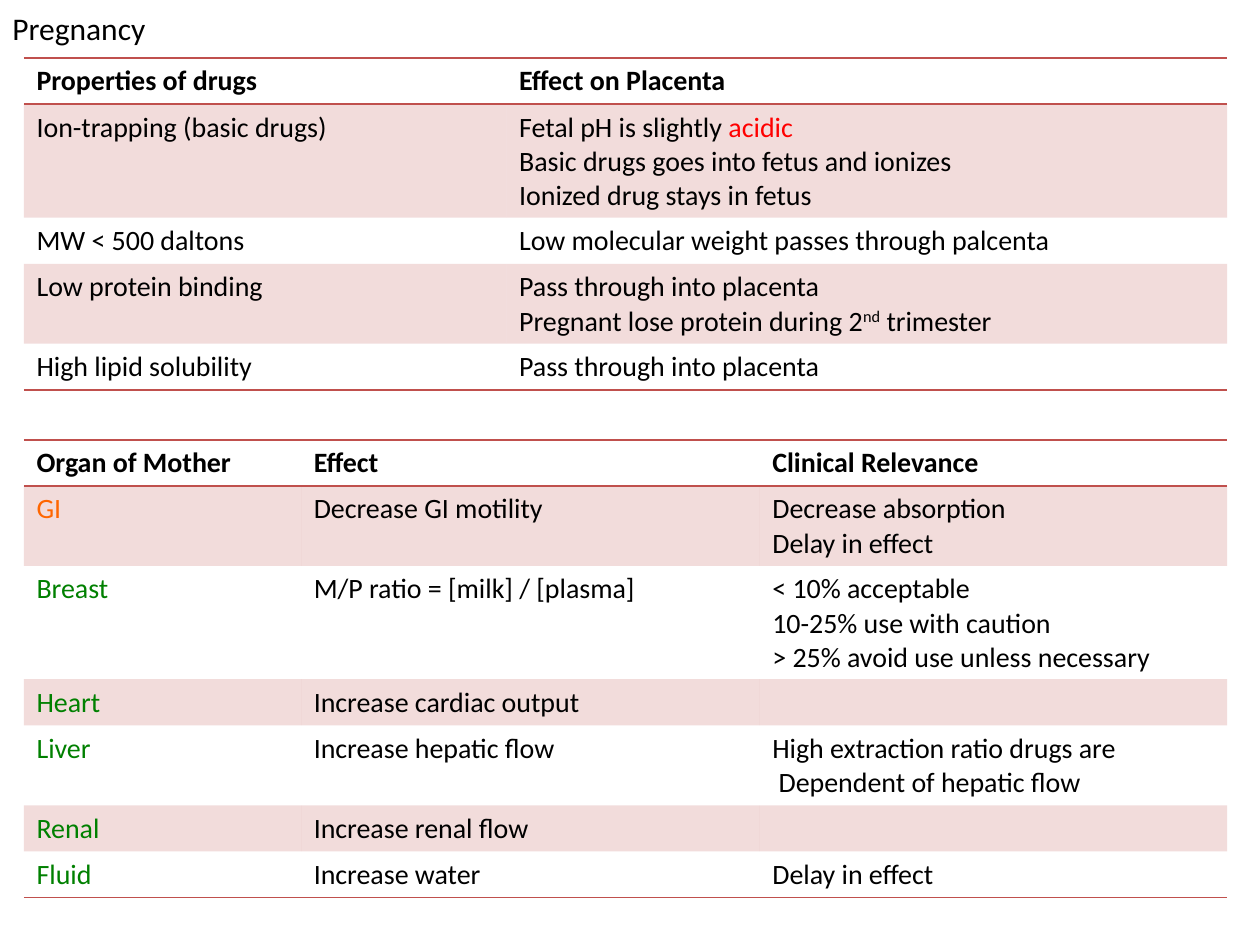
from lxml.etree import SubElement
from pptx import Presentation
from pptx.dml.color import RGBColor
from pptx.enum.text import MSO_AUTO_SIZE
from pptx.oxml import parse_xml
from pptx.oxml.ns import nsdecls, qn
from pptx.util import Inches, Pt

COLORS = {"text": "000000", "accent": "C0504D", "acid": "FF0000",
          "gut": "FF6600", "organ": "008000"}
FONT = "Calibri"
PLAIN_STYLE = "{2D5ABB26-0587-4C30-8999-92F81FD0307C}"  # no style, no grid
LEFT = 0.19
PADDING, LINE = 0.09, 0.27  # row height = padding + lines * line


def set_font(font, size, color="text", bold=False):
    font.name, font.size, font.bold = FONT, Pt(size), bold
    font.color.rgb = RGBColor.from_string(COLORS[color])


def rule_cell(cell, edge):
    """Draw a thin accent rule along the top (T) or bottom (B) of a cell."""
    cell._tc.get_or_add_tcPr().insert(0, parse_xml(
        f'<a:ln{edge} {nsdecls("a")} w="12700"><a:solidFill>'
        f'<a:srgbClr val="{COLORS["accent"]}"/></a:solidFill></a:ln{edge}>'))


# Each cell is a list of lines; a line is a text or a list of (text, style)
drug_rows = [
    [["Properties of drugs"], ["Effect on Placenta"]],
    [["Ion-trapping (basic drugs)"],
     [[("Fetal pH is slightly ", ""), ("acidic", "acid")],
      "Basic drugs goes into fetus and ionizes",
      "Ionized drug stays in fetus"]],
    [["MW < 500 daltons"], ["Low molecular weight passes through palcenta"]],
    [["Low protein binding"],
     ["Pass through into placenta",
      [("Pregnant lose protein during 2", ""), ("nd", "super"), (" trimester", "")]]],
    [["High lipid solubility"], ["Pass through into placenta"]],
]
organ_rows = [
    [["Organ of Mother"], ["Effect"], ["Clinical Relevance"]],
    [["GI"], ["Decrease GI motility"], ["Decrease absorption", "Delay in effect"]],
    [["Breast"], ["M/P ratio = [milk] / [plasma]"],
     ["< 10% acceptable", "10-25% use with caution",
      "> 25% avoid use unless necessary"]],
    [["Heart"], ["Increase cardiac output"], [""]],
    [["Liver"], ["Increase hepatic flow"],
     ["High extraction ratio drugs are", " Dependent of hepatic flow"]],
    [["Renal"], ["Increase renal flow"], [""]],
    [["Fluid"], ["Increase water"], ["Delay in effect"]],
]
organ_colors = {"GI": "gut"} | dict.fromkeys(
    ["Breast", "Heart", "Liver", "Renal", "Fluid"], "organ")

prs = Presentation()
prs.slide_width, prs.slide_height = Inches(10), Inches(7.5)
slide = prs.slides.add_slide(prs.slide_layouts[6])

# Title
title = slide.shapes.add_textbox(0, Inches(0.02), Inches(1.27), Inches(0.4)).text_frame
title.word_wrap = False
title.auto_size = MSO_AUTO_SIZE.SHAPE_TO_FIT_TEXT
title.text = "Pregnancy"
set_font(title.paragraphs[0].font, 18)

# Both tables: ruled header, tinted odd rows, closing rule
for top, widths, rows in [(0.46, [3.83, 5.72], drug_rows),
                          (3.49, [2.2, 3.64, 3.71], organ_rows)]:
    heights = [PADDING + LINE * max(map(len, row)) for row in rows]
    table = slide.shapes.add_table(
        len(rows), len(widths), Inches(LEFT), Inches(top),
        Inches(sum(widths)), Inches(sum(heights))).table
    table._tbl.tblPr.find(qn("a:tableStyleId")).text = PLAIN_STYLE
    for column, width in zip(table.columns, widths):
        column.width = Inches(width)

    for r, (row, height) in enumerate(zip(rows, heights)):
        table.rows[r].height = Inches(height)
        for c, lines in enumerate(row):
            cell = table.cell(r, c)

            # Tint and rules
            if r % 2:
                cell.fill.solid()
                cell.fill.fore_color.rgb = RGBColor.from_string(COLORS["accent"])
                tint = cell._tc.tcPr.find(".//" + qn("a:srgbClr"))
                SubElement(tint, qn("a:alpha"), val="20000")
            else:
                cell.fill.background()
            if r in (0, len(rows) - 1):
                rule_cell(cell, "B")
            if r == 0:
                rule_cell(cell, "T")

            # Text
            for n, line in enumerate(lines):
                frame = cell.text_frame
                paragraph = frame.add_paragraph() if n else frame.paragraphs[0]
                color = organ_colors.get(line, "text") if c == 0 else "text"
                set_font(paragraph.font, 16, color, bold=r == 0)
                if not line:  # keeps an empty row as low as the others
                    SubElement(paragraph._p, qn("a:endParaRPr"), sz="1600")
                    continue
                for text, style in [(line, "")] if isinstance(line, str) else line:
                    run = paragraph.add_run()
                    run.text = text
                    if style == "super":
                        run.font._element.set("baseline", "30000")
                    elif style:
                        run.font.color.rgb = RGBColor.from_string(COLORS[style])

prs.save("out.pptx")
